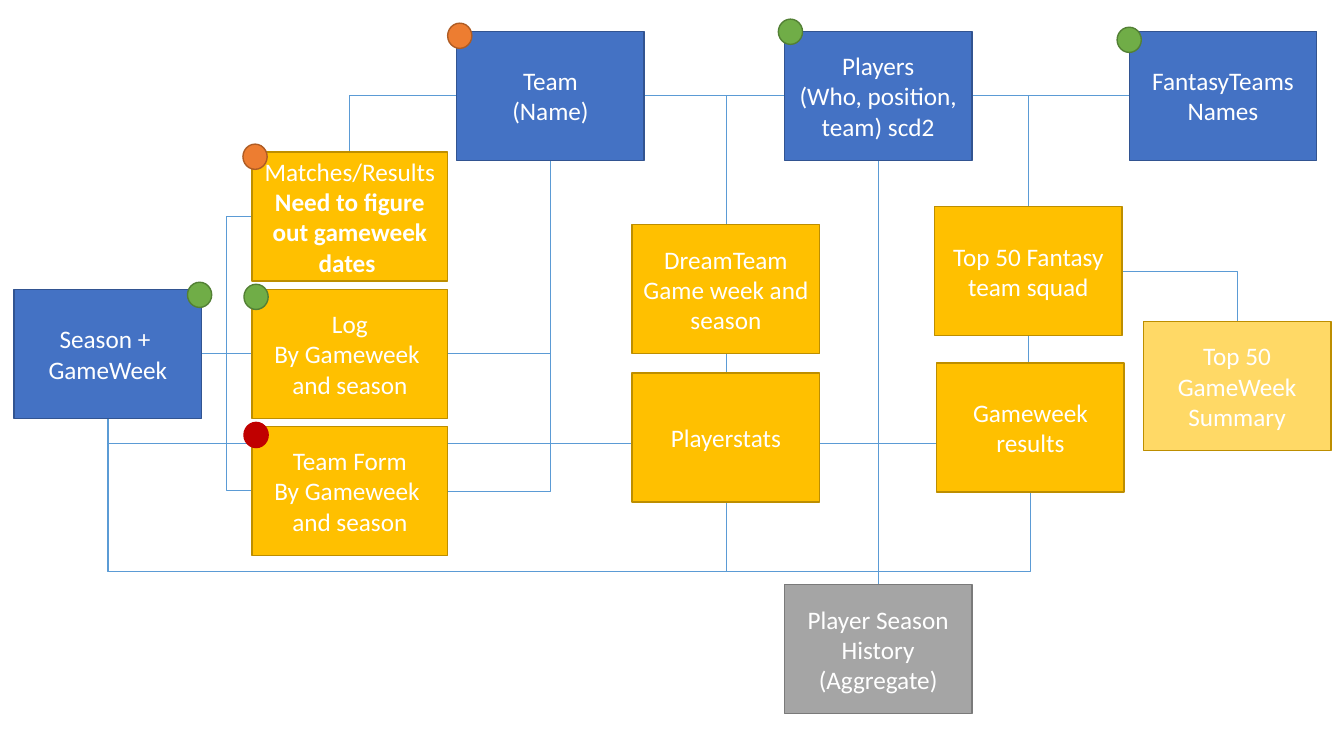
from lxml import etree
from pptx import Presentation
from pptx import util as u
from pptx.dml.color import RGBColor
from pptx.enum import shapes, text
from pptx.oxml.ns import qn

BLUE, GOLD = ("4472C4", "325491"), ("FFC000", "BD8E00")
PALE, GREY = ("FFD966", "BD8E00"), ("A5A5A5", "7A7A7A")
GREEN, ORANGE, RED = ("70AD47", "538035"), ("ED7D31", "AF5C24"), ("C00000", "C00000")
LINK = "5B9BD5"
WIDE, NARROW, HIGH = 1.94, 1.86, 1.28
DOT_W, DOT_H = 0.24, 0.25
TOP, LEFT, BOTTOM, RIGHT = range(4)

BOXES = {
    "matches": (2.5, 1.51, WIDE, GOLD, ["Matches/Results", "Need to figure out gameweek dates "]),
    "log": (2.5, 2.87, WIDE, GOLD, ["Log", "By Gameweek ", "and season"]),
    "form": (2.5, 4.23, WIDE, GOLD, ["Team Form", "By Gameweek ", "and season"]),
    "season": (0.14, 2.87, NARROW, BLUE, ["Season + ", "GameWeek"]),
    "team": (4.53, 0.31, NARROW, BLUE, ["Team", "(Name)"]),
    "players": (7.78, 0.31, NARROW, BLUE, ["Players", "(Who, position, team) scd2"]),
    "fantasy": (11.2, 0.31, NARROW, BLUE, ["FantasyTeams", "Names"]),
    "dream": (6.27, 2.23, NARROW, GOLD, ["DreamTeam", "Game week and season"]),
    "stats": (6.27, 3.7, NARROW, GOLD, ["Playerstats"]),
    "squad": (9.27, 2.05, NARROW, GOLD, ["Top 50 Fantasy team squad"]),
    "results": (9.29, 3.6, NARROW, GOLD, ["Gameweek results"]),
    "summary": (11.34, 3.19, NARROW, PALE, ["Top 50 GameWeek Summary"]),
    "history": (7.78, 5.8, NARROW, GREY, ["Player Season History", "(Aggregate)"]),
}
BOLD = {"Need to figure out gameweek dates "}

DOTS = [
    (1.86, 2.8, GREEN), (4.44, 0.23, ORANGE), (2.42, 2.82, GREEN), (2.42, 4.19, RED),
    (7.72, 0.19, GREEN), (2.41, 1.43, ORANGE), (11.08, 0.27, GREEN),
]

STRAIGHT = [("players", BOTTOM, "history", TOP), ("season", RIGHT, "log", LEFT)]
CORNERS = [
    ("players", LEFT, "stats", TOP), ("players", LEFT, "dream", TOP),
    ("team", RIGHT, "dream", TOP), ("team", LEFT, "matches", TOP),
    ("log", RIGHT, "team", BOTTOM), ("form", RIGHT, "team", BOTTOM),
    ("players", RIGHT, "squad", TOP), ("fantasy", LEFT, "squad", TOP),
    ("squad", RIGHT, "summary", TOP),
]
DETOURS = [
    ("season", BOTTOM, "squad", BOTTOM, 4.4), ("season", BOTTOM, "stats", BOTTOM, 5.67),
    ("season", BOTTOM, "results", BOTTOM, 5.67),
    ("season", RIGHT, "matches", LEFT, 2.25), ("season", RIGHT, "form", LEFT, 2.25),
]


def rgb(value):
    return RGBColor.from_string(value)


def add_block(kind, x, y, w, h, colours):
    sp = s.shapes.add_shape(kind, *map(u.Inches, (x, y, w, h)))
    sp.shadow.inherit = False
    sp.fill.solid()
    sp.fill.fore_color.rgb = rgb(colours[0])
    sp.line.color.rgb = rgb(colours[1])
    sp.line.width = u.Pt(1)
    return sp


def write(sp, lines):
    tf = sp.text_frame
    for name, value in {"word_wrap": True, "vertical_anchor": text.MSO_ANCHOR.MIDDLE}.items():
        setattr(tf, name, value)
    for i, line in enumerate(lines):
        p = tf.add_paragraph() if i else tf.paragraphs[0]
        p.alignment = text.PP_ALIGN.CENTER
        r = p.add_run()
        r.text = line
        for name, value in {"name": "Calibri", "size": u.Pt(18), "bold": line in BOLD}.items():
            setattr(r.font, name, value)
        r.font.color.rgb = rgb("FFFFFF")


def site(sp, side):
    dx, dy = {TOP: (1, 0), LEFT: (0, 1), BOTTOM: (1, 2), RIGHT: (2, 1)}[side]
    return sp.left + sp.width * dx // 2, sp.top + sp.height * dy // 2


def add_link(start, start_side, end, end_side, kind, via=None):
    a, b = boxes[start], boxes[end]
    (x1, y1), (x2, y2) = site(a, start_side), site(b, end_side)
    c = s.shapes.add_connector(shapes.MSO_CONNECTOR.STRAIGHT, x1, y1, x2, y2)
    c.begin_connect(a, start_side)
    c.end_connect(b, end_side)
    c.line.color.rgb = rgb(LINK)
    c.line.width = u.Pt(0.5)
    sp_pr = c._element.spPr
    etree.SubElement(sp_pr, qn("a:effectLst"))
    geom = sp_pr.find(qn("a:prstGeom"))
    geom.set("prst", kind)
    if via is not None:
        upright = start_side in (TOP, BOTTOM)
        first, last = (y1, y2) if upright else (x1, x2)
        share = round((u.Inches(via) - first) / (last - first) * 100000)
        guides = geom.find(qn("a:avLst"))
        if guides is None:
            guides = etree.SubElement(geom, qn("a:avLst"))
        etree.SubElement(guides, qn("a:gd"), name="adj1", fmla=f"val {share}")
        if upright:
            w, h = abs(y2 - y1), abs(x2 - x1)
            c.left, c.top = (x1 + x2 - w) // 2, (y1 + y2 - h) // 2
            c.width, c.height = w, h
            flips = {"rot": 5400000, "flipH": int(y2 < y1), "flipV": int(x2 > x1)}
            for name, value in flips.items():
                sp_pr.find(qn("a:xfrm")).set(name, str(value))
    boxes["matches"]._element.addprevious(c._element)


prs = Presentation()
prs.slide_width, prs.slide_height = u.Inches(13.33), u.Inches(7.5)
s = prs.slides.add_slide(prs.slide_layouts[6])

boxes = {}
for name, (x, y, w, colours, lines) in BOXES.items():
    boxes[name] = add_block(shapes.MSO_SHAPE.RECTANGLE, x, y, w, HIGH, colours)
    write(boxes[name], lines)
for x, y, colours in DOTS:
    add_block(shapes.MSO_SHAPE.OVAL, x, y, DOT_W, DOT_H, colours)

for link in STRAIGHT:
    add_link(*link, "straightConnector1")
for link in CORNERS:
    add_link(*link, "bentConnector2")
for *link, via in DETOURS:
    add_link(*link, "bentConnector3", via)

prs.save("out.pptx")
